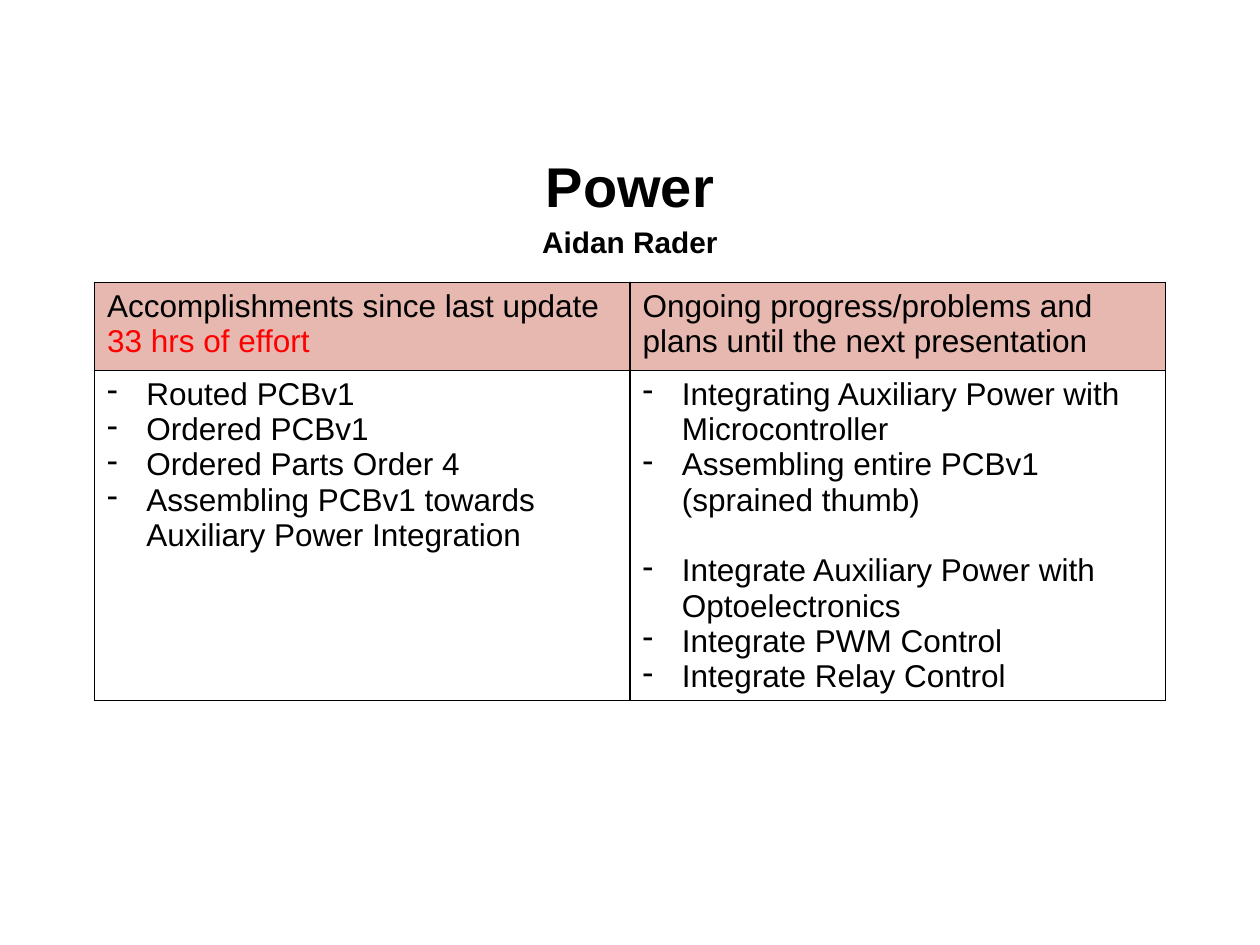
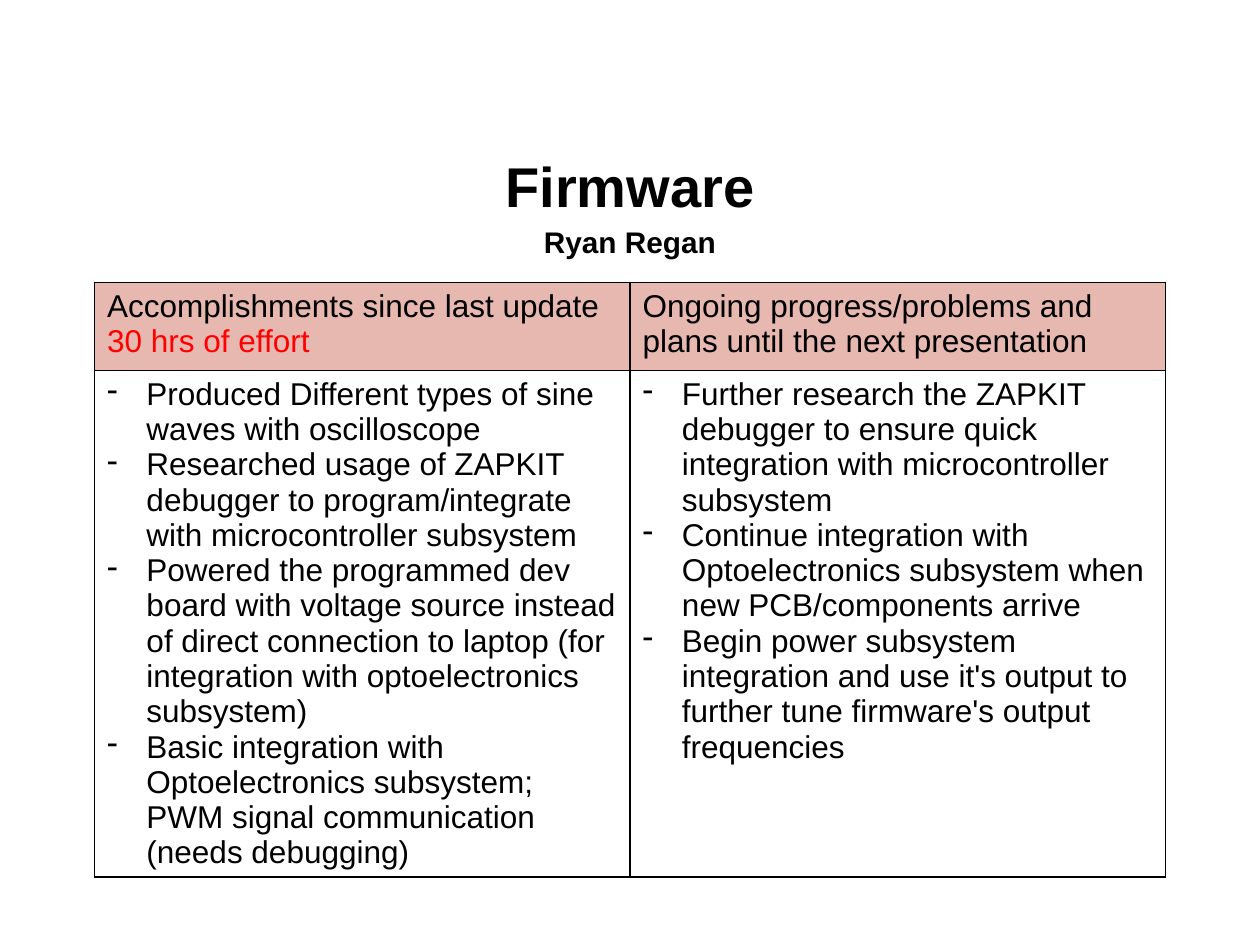
from dataclasses import dataclass

import lxml.etree
import pptx
import pptx.dml.color
import pptx.enum.text
import pptx.oxml.ns
import pptx.util

Pt = pptx.util.Pt
qn = pptx.oxml.ns.qn


@dataclass(frozen=True)
class Theme:
    font: str = "Arial"
    text: str = "000000"
    effort: str = "FF0000"
    header_fill: str = "E6B8AF"
    title_size: float = 32
    name_size: float = 17
    table_size: float = 18
    title_spacing: float = 1.15
    bullet_indent: float = 22.5
    group_gap: float = 20.2
    border_width: float = 1


THEME = Theme()
TITLE_BOX = (36, 82.8, 648, 63.4)
TABLE_LEFT, TABLE_TOP = 54, 161.3
COLUMN_WIDTH = 306
ROW_HEIGHTS = (50.4, 136.8)

DONE_HEADING = "Accomplishments since last update "
PLANS_HEADING = "Ongoing progress/problems and plans until the next presentation"

# Each column is a list of groups of bullets; a gap separates the groups.
UPDATES = [
    {
        "subsystem": "Power",
        "member": "Aidan Rader",
        "hours": 33,
        "done": [[
            "Routed PCBv1",
            "Ordered PCBv1",
            "Ordered Parts Order 4",
            "Assembling PCBv1 towards Auxiliary Power Integration",
        ]],
        "plans": [
            [
                "Integrating Auxiliary Power with Microcontroller",
                "Assembling entire PCBv1 (sprained thumb)",
            ],
            [
                "Integrate Auxiliary Power with Optoelectronics",
                "Integrate PWM Control",
                "Integrate Relay Control",
            ],
        ],
    },
    {
        "subsystem": "Firmware",
        "member": "Ryan Regan",
        "hours": 30,
        "done": [[
            "Produced Different types of sine waves with oscilloscope",
            "Researched usage of ZAPKIT debugger to program/integrate "
            "with microcontroller subsystem",
            "Powered the programmed dev board with voltage source instead of "
            "direct connection to laptop (for integration with "
            "optoelectronics subsystem)",
            "Basic integration with Optoelectronics subsystem; "
            "PWM signal communication (needs debugging)",
        ]],
        "plans": [[
            "Further research the ZAPKIT debugger to ensure quick "
            "integration with microcontroller subsystem",
            "Continue integration with Optoelectronics subsystem when "
            "new PCB/components arrive",
            "Begin power subsystem integration and use it's output to "
            "further tune firmware's output frequencies",
        ]],
    },
]


def rgb(color):
    return pptx.dml.color.RGBColor.from_string(color)


def format_runs(para, size, color=THEME.text, bold=False):
    for span in para.runs:
        span.font.name = THEME.font
        span.font.size = Pt(size)
        span.font.bold = bold
        span.font.color.rgb = rgb(color)


def add_title(page, subsystem, member):
    title = page.shapes.title
    title.left, title.top, title.width, title.height = map(Pt, TITLE_BOX)
    frame = title.text_frame
    frame.text = f"{subsystem}\n{member}"
    frame.word_wrap = True
    frame.auto_size = pptx.enum.text.MSO_AUTO_SIZE.NONE
    frame.vertical_anchor = pptx.enum.text.MSO_ANCHOR.MIDDLE
    for para, size in zip(frame.paragraphs, (THEME.title_size, THEME.name_size)):
        para.alignment = pptx.enum.text.PP_ALIGN.CENTER
        para.line_spacing = THEME.title_spacing
        para.space_before = Pt(0)
        format_runs(para, size, bold=True)


def set_borders(cell):
    properties = cell._tc.get_or_add_tcPr()
    for index, side in enumerate(("lnL", "lnR", "lnT", "lnB")):
        line = lxml.etree.Element(qn(f"a:{side}"), w=str(Pt(THEME.border_width)))
        fill = lxml.etree.SubElement(line, qn("a:solidFill"))
        lxml.etree.SubElement(fill, qn("a:srgbClr"), val=THEME.text)
        properties.insert(index, line)


def add_bullet(para):
    properties = para._p.get_or_add_pPr()
    indent = Pt(THEME.bullet_indent)
    properties.set("marL", str(indent))
    properties.set("indent", str(-indent))
    lxml.etree.SubElement(properties, qn("a:buChar"), char="-")


def fill_heading(cell, heading, effort=""):
    """Write a column heading, with the effort in its own colour after it."""
    para = cell.text_frame.paragraphs[0]
    para.text = heading
    format_runs(para, THEME.table_size)
    if effort:
        span = para.add_run()
        span.text = effort
        span.font.name = THEME.font
        span.font.size = Pt(THEME.table_size)
        span.font.bold = False
        span.font.color.rgb = rgb(THEME.effort)
    cell.fill.solid()
    cell.fill.fore_color.rgb = rgb(THEME.header_fill)


def fill_bullets(cell, groups):
    frame = cell.text_frame
    frame.text = "\n".join(item for group in groups for item in group)
    paras = iter(frame.paragraphs)
    for group_index, group in enumerate(groups):
        for item_index in range(len(group)):
            para = next(paras)
            if group_index and item_index == 0:
                para.space_before = Pt(THEME.group_gap)
            add_bullet(para)
            format_runs(para, THEME.table_size)
    cell.fill.background()


def add_update_table(page, update):
    frame = page.shapes.add_table(
        2, 2, Pt(TABLE_LEFT), Pt(TABLE_TOP),
        Pt(2 * COLUMN_WIDTH), Pt(sum(ROW_HEIGHTS)))
    table = frame.table
    table.first_row = False
    table.horz_banding = False
    for row, height in zip(table.rows, ROW_HEIGHTS):
        row.height = Pt(height)
    fill_heading(table.cell(0, 0), DONE_HEADING, f"{update['hours']} hrs of effort")
    fill_heading(table.cell(0, 1), PLANS_HEADING)
    fill_bullets(table.cell(1, 0), update["done"])
    fill_bullets(table.cell(1, 1), update["plans"])
    for cell in table.iter_cells():
        set_borders(cell)


def main():
    deck = pptx.Presentation()
    deck.slide_width, deck.slide_height = Pt(720), Pt(540)
    title_only = deck.slide_layouts.get_by_name("Title Only")
    for update in UPDATES:
        page = deck.slides.add_slide(title_only)
        add_title(page, update["subsystem"], update["member"])
        add_update_table(page, update)
    deck.save("out.pptx")


if __name__ == "__main__":
    main()
